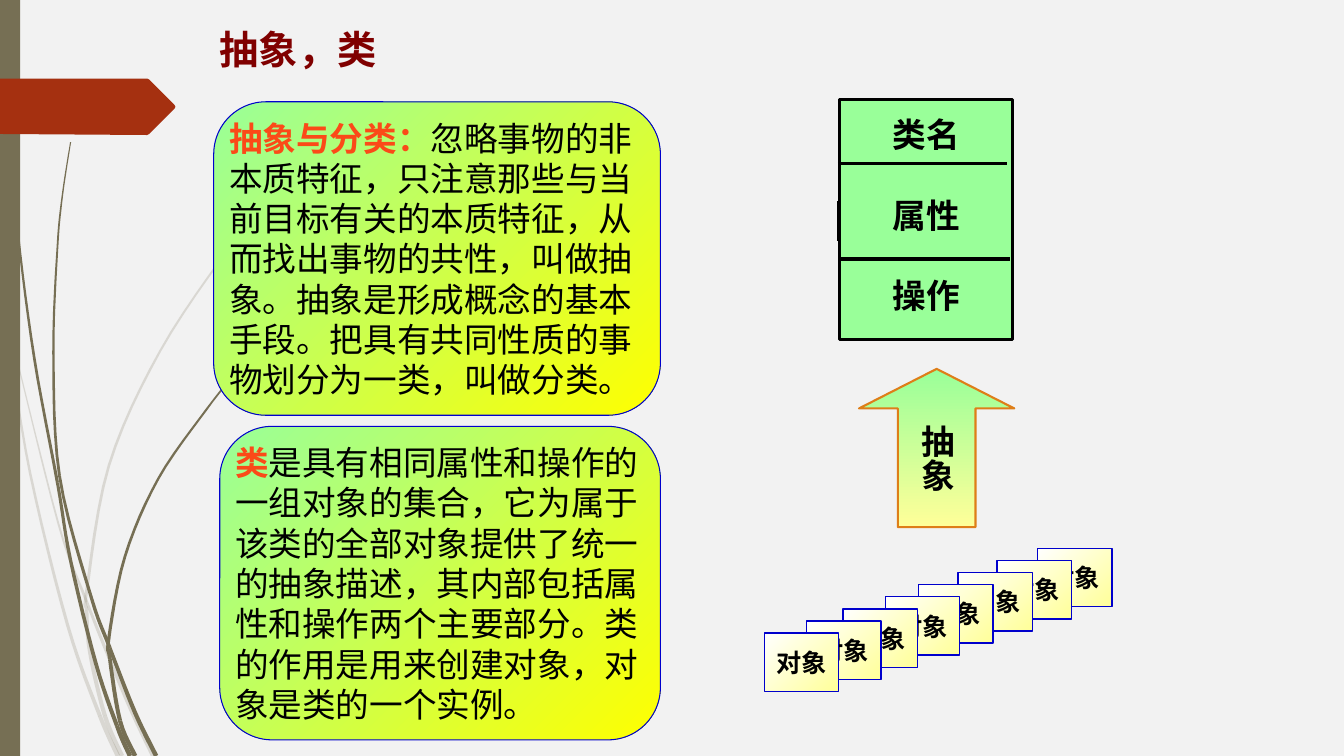
import math

import pptx
import pptx.dml.color
import pptx.enum.shapes
import pptx.enum.text
import pptx.oxml.ns
import pptx.util
from lxml import etree

Inches = pptx.util.Inches
Pt = pptx.util.Pt
RGBColor = pptx.dml.color.RGBColor
MSO_SHAPE = pptx.enum.shapes.MSO_SHAPE
PP_ALIGN = pptx.enum.text.PP_ALIGN
ANCHOR = pptx.enum.text.MSO_ANCHOR
qn = pptx.oxml.ns.qn

W, H = 13.33, 7.5
LATIN, HAN = "Times New Roman", "Noto Sans CJK SC"
PALE = RGBColor(0xF2, 0xF2, 0xF2)
OLIVE = RGBColor(0x76, 0x6F, 0x54)
RUST = RGBColor(0xA5, 0x30, 0x10)
MAROON = RGBColor(0x80, 0x00, 0x00)
CORAL = RGBColor(0xFB, 0x4A, 0x18)
BLACK = RGBColor(0x00, 0x00, 0x00)
WHITE = RGBColor(0xFF, 0xFF, 0xFF)
MINT = RGBColor(0x99, 0xFF, 0x99)
YELLOW = RGBColor(0xFF, 0xFF, 0x00)
CREAM = RGBColor(0xFF, 0xFF, 0x99)
BLUE = RGBColor(0x00, 0x00, 0xCC)
ORANGE = RGBColor(0xDE, 0x7E, 0x18)

PALE_WISPS = [
    ([(0, 2.9), (0.1, 3.48), (0.3, 4.7), (0.67, 6.2), (0.99, 7.1), (1.17, H)], (1, 4)),
    ([(0.14, 3.45), (0.58, 5.2), (0.86, 5.97), (1.25, 6.93), (1.52, H)], (2,)),
    ([(3.12, 1.53), (2.68, 1.97), (2.28, 2.45), (1.59, 3.48), (1.08, 4.62),
      (0.86, 5.86), (0.86, 6.06), (0.89, 6.46), (1.04, 7.1), (1.21, H)], (5, 6, 8)),
]
DARK_WISPS = [
    ([(0.03, 0), (0.04, 0.48), (0.07, 1.1), (0.18, 2.33), (0.34, 3.55),
      (0.57, 4.79), (0.7, 5.56), (0.95, 6.58), (1.16, 7.2), (1.29, H)], (5, 8)),
    ([(0.7, 1.41), (0.62, 1.93), (0.57, 2.45), (0.53, 3.49), (0.59, 4.72),
      (0.9, 5.91), (1.09, 6.43), (1.34, 7.07), (1.55, H)], (4, 6)),
    ([(2.6, 3.44), (2.31, 3.74), (2.05, 4.06), (1.57, 4.75), (1.24, 5.52),
      (1.08, 6.33), (1.09, 6.54), (1.19, 7.15), (1.34, H)], (5, 6, 7)),
]
STEPS = 6
UNITS = 1000
CARD_OFFSETS = (0, 0.42, 0.78, 1.2, 1.53, 1.92, 2.31, 2.71)


def paint(sp, fill, line=None, weight=1, angle=None):
    sp.shadow.inherit = False
    if angle is None:
        sp.fill.solid()
        sp.fill.fore_color.rgb = fill
    else:
        sp.fill.gradient()
        sp.fill.gradient_angle = 360 - angle
        for stop, color in zip(sp.fill.gradient_stops, fill):
            stop.color.rgb = color
    if line is None:
        sp.line.fill.background()
    else:
        sp.line.color.rgb = line
        sp.line.width = Pt(weight)


def add_box(s, kind, box, fill, **style):
    sp = s.shapes.add_shape(kind, *map(Inches, box))
    paint(sp, fill, **style)
    return sp


def add_outline(s, points, color, alpha=None):
    points = [(x * UNITS, y * UNITS) for x, y in points]
    fb = s.shapes.build_freeform(*points[0], scale=Inches(1) / UNITS)
    fb.add_line_segments(points[1:], close=True)
    sp = fb.convert_to_shape()
    paint(sp, color)
    if alpha:
        for clr in sp._element.spPr.iter(qn("a:srgbClr")):
            etree.SubElement(clr, qn("a:alpha")).set("val", str(alpha * 1000))


def add_line(s, x1, y1, x2, y2):
    ln = s.shapes.add_connector(pptx.enum.shapes.MSO_CONNECTOR.STRAIGHT,
                                *map(Inches, (x1, y1, x2, y2)))
    ln.line.color.rgb = BLACK
    ln.line.width = Pt(2.25)
    etree.SubElement(ln._element.spPr, qn("a:effectLst"))


def write(sp, paragraphs, size=24, align=PP_ALIGN.LEFT, anchor=ANCHOR.TOP,
          wrap=True, gap=0, latin=LATIN):
    tf = sp.text_frame
    tf.word_wrap = wrap
    tf.vertical_anchor = anchor
    tf.margin_left = tf.margin_right = tf.margin_top = tf.margin_bottom = 0
    for i, runs in enumerate(paragraphs):
        p = tf.add_paragraph() if i else tf.paragraphs[0]
        p.alignment = align
        p.line_spacing = Pt(size * 1.2)
        if i:
            p.space_before = Pt(gap)
        for text, color, bold in runs:
            r = p.add_run()
            r.text = text
            r.font.name = latin
            r.font.size = Pt(size)
            r.font.bold = bold
            r.font.color.rgb = color
            etree.SubElement(r._r.rPr, qn("a:ea")).set("typeface", HAN)


def add_text(s, box, paragraphs, **style):
    sp = s.shapes.add_textbox(*map(Inches, box))
    write(sp, paragraphs, wrap=False, **style)
    return sp


def smooth(points):
    ends = [points[0]] + points + [points[-1]]
    curve = []
    for a, b, c, d in zip(ends, ends[1:], ends[2:], ends[3:]):
        for k in range(STEPS):
            t = k / STEPS
            curve.append(tuple(
                (2 * q + (r - p) * t + (2 * p - 5 * q + 4 * r - u) * t ** 2
                 + (3 * q - p - 3 * r + u) * t ** 3) / 2
                for p, q, r, u in zip(a, b, c, d)))
    return curve + [points[-1]]


def add_wisp(s, points, joints, color, alpha=None):
    curve = smooth(points)
    left, right = [], []
    for i, (x, y) in enumerate(curve):
        x1, y1 = curve[max(i - 1, 0)]
        x2, y2 = curve[min(i + 1, len(curve) - 1)]
        length = math.hypot(x2 - x1, y2 - y1)
        half = 0.005 + 0.018 * i / len(curve)
        dx, dy = half * (y2 - y1) / length, half * (x1 - x2) / length
        left.append((x + dx, y + dy))
        right.append((x - dx, y - dy))
    cuts = [0, *joints, len(points) - 1]
    for start, end in zip(cuts, cuts[1:]):
        part = slice(start * STEPS, end * STEPS + 1)
        add_outline(s, left[part] + right[part][::-1], color, alpha)


def add_backdrop(s):
    s.background.fill.solid()
    s.background.fill.fore_color.rgb = PALE
    for points, joints in PALE_WISPS:
        add_wisp(s, points, joints, OLIVE, 20)
    for points, joints in DARK_WISPS:
        add_wisp(s, points, joints, OLIVE)
    add_box(s, MSO_SHAPE.RECTANGLE, (0, 0, 0.2, H), OLIVE)
    add_outline(s, [(0, 0.78), (1.46, 0.78), (1.48, 0.79), (1.73, 1.04), (1.74, 1.06),
                    (1.73, 1.08), (1.48, 1.33), (1.46, 1.34), (0, 1.33)], RUST)


def add_definition(s, box, term, text, latin=LATIN):
    sp = add_box(s, MSO_SHAPE.ROUNDED_RECTANGLE, box, (MINT, YELLOW),
                 line=BLUE, weight=0.75, angle=45)
    write(sp, [[(term, CORAL, True), (text, BLACK, False)]],
          anchor=ANCHOR.MIDDLE, latin=latin)


def add_class_box(s, x, y, w, h):
    add_box(s, MSO_SHAPE.RECTANGLE, (x, y, w, h), MINT, line=BLACK, weight=2.25)
    add_line(s, x - 0.01, y + 1, x - 0.01, y + 1.4)
    add_line(s, x - 0.02, y + 0.63, x + w - 0.05, y + 0.63)
    add_line(s, x, y + 1.58, x + w - 0.02, y + 1.58)
    add_text(s, (x + w * 0.3, y + 0.14, w * 0.4, 2),
             [[(label, BLACK, True)] for label in ("类名", "属性", "操作")],
             align=PP_ALIGN.CENTER, gap=28.8)


def add_abstraction_arrow(s, x, y, w, h):
    sp = add_box(s, MSO_SHAPE.UP_ARROW, (x, y, w, h), (MINT, CREAM),
                 line=ORANGE, weight=1.5, angle=90)
    sp.adjustments[1] = 0.255
    label = add_text(s, (x + w / 2 - 0.2, y + 0.56, 0.4, 0.66), [[("抽象", BLACK, True)]])
    label.text_frame._txBody.bodyPr.set("vert", "eaVert")


def add_object_stack(s, x, y, w, h):
    card_w, card_h = w - CARD_OFFSETS[-1], 0.58
    dy = (h - card_h) / (len(CARD_OFFSETS) - 1)
    for i, dx in reversed(list(enumerate(CARD_OFFSETS))):
        sp = add_box(s, MSO_SHAPE.RECTANGLE,
                     (x + dx, y + h - card_h - i * dy, card_w, card_h),
                     (WHITE, CREAM), line=BLUE, angle=45)
        write(sp, [[("对象", BLACK, True)]], size=18,
              align=PP_ALIGN.CENTER, anchor=ANCHOR.MIDDLE)


def main():
    prs = pptx.Presentation()
    prs.slide_width, prs.slide_height = Inches(W), Inches(H)
    s = prs.slides.add_slide(prs.slide_layouts[6])
    add_backdrop(s)
    add_text(s, (2.18, 0.25, 1.58, 0.47), [[("抽象，类", MAROON, True)]], size=28)
    add_definition(s, (2.12, 1.01, 4.43, 3.11), "抽象与分类：",
                   "忽略事物的非本质特征，只注意那些与当前目标有关的本质特征，从而找出事物的共性，叫做抽象。"
                   "抽象是形成概念的基本手段。把具有共同性质的事物划分为一类，叫做分类。", latin=HAN)
    add_definition(s, (2.18, 4.23, 4.37, 3.11), "类",
                   "是具有相同属性和操作的一组对象的集合，它为属于该类的全部对象提供了统一的抽象描述，"
                   "其内部包括属性和操作两个主要部分。类的作用是用来创建对象，对象是类的一个实例。")
    add_class_box(s, 8.33, 0.99, 1.71, 2.38)
    add_abstraction_arrow(s, 8.52, 3.66, 1.54, 1.57)
    add_object_stack(s, 7.58, 5.44, 3.45, 1.42)
    prs.save("out.pptx")


if __name__ == "__main__":
    main()
